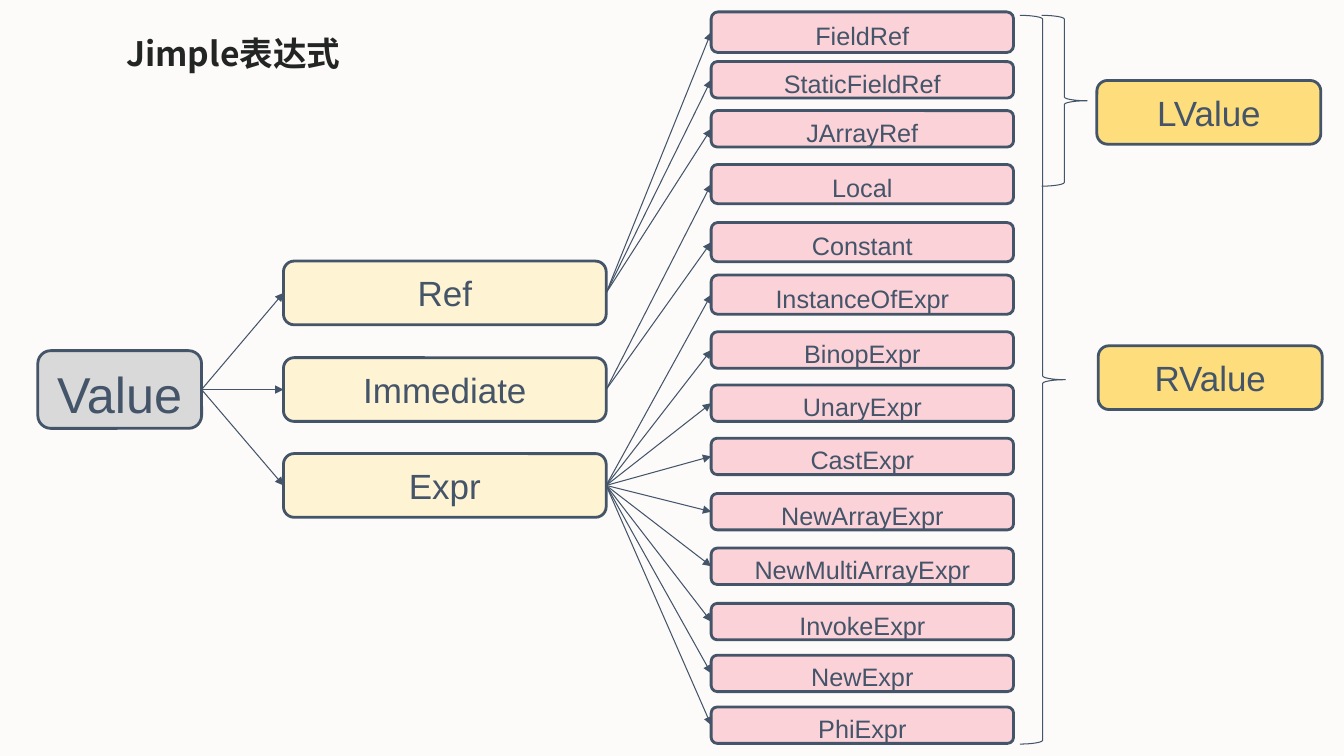
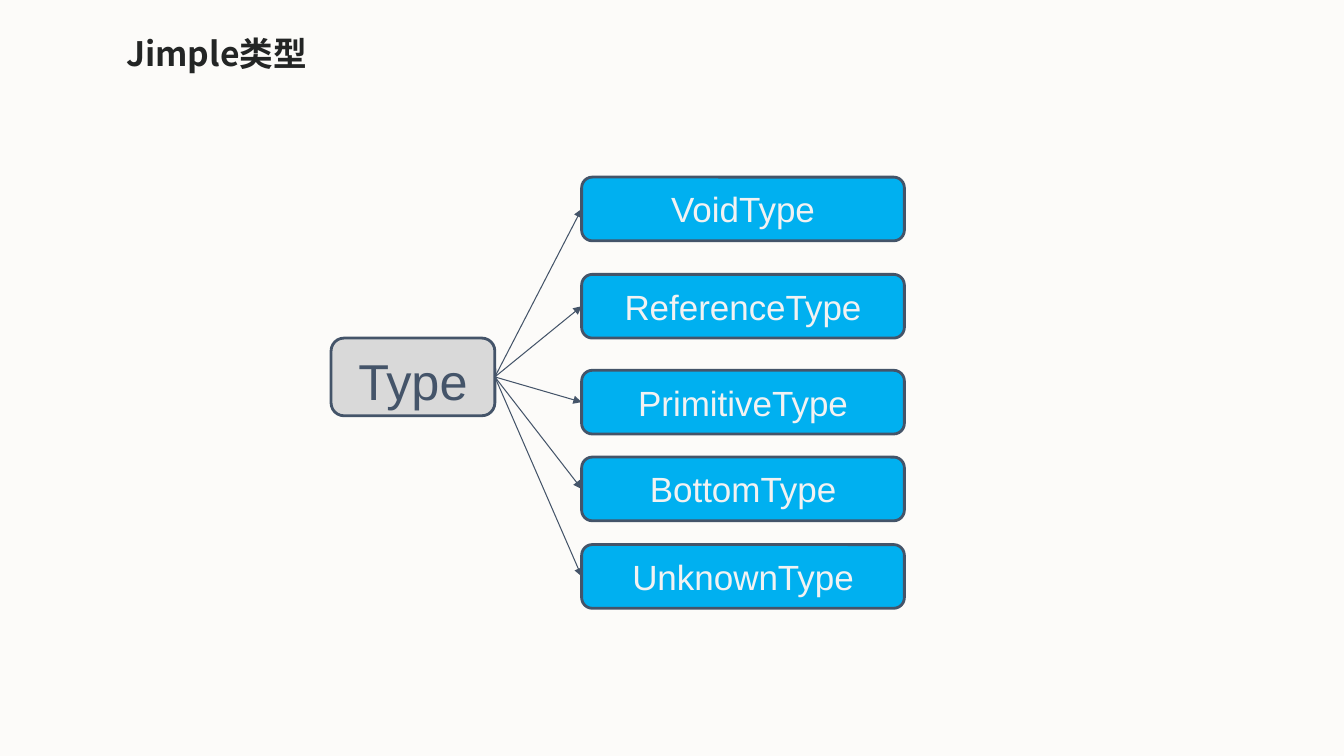
"""Build two slides that show the Jimple expression and type hierarchies."""
import pptx
import pptx.dml.color
import pptx.enum.shapes
import pptx.enum.text
import pptx.oxml
import pptx.oxml.ns
import pptx.util

Pt = pptx.util.Pt
RGB = pptx.dml.color.RGBColor.from_string
SHAPES = pptx.enum.shapes.MSO_SHAPE
ANCHOR = pptx.enum.text.MSO_ANCHOR
ALIGN = pptx.enum.text.PP_ALIGN

COLOURS = {
    "background": "FCFBF9",
    "title": "232525",
    "ink": "445469",
    "root": "D9D9D9",
    "branch": "FEF4D3",
    "leaf": "FAD2D8",
    "value": "FDDD7C",
    "type": "00B0F0",
    "light": "F2F2F2",
}
TITLE_FONT = "Noto Sans CJK SC"
TITLE_BOX = {"left": Pt(83), "top": Pt(20), "width": Pt(178), "height": Pt(36)}
STYLES = {
    "root": {"width": 117, "size": 36, "ink": "ink", "margins": (5, 0)},
    "branch": {"width": 230.5, "size": 25, "ink": "ink", "margins": (3.6, 3.6)},
    "leaf": {"width": 216, "size": 18, "ink": "ink", "margins": (5, 0)},
    "value": {"width": 160, "size": 25, "ink": "ink", "margins": (3.6, 3.6)},
    "type": {"width": 230.5, "size": 25, "ink": "light", "margins": (3.6, 3.6)},
}


def add_node(slide, text, style_name, left, top, height):
    style = STYLES[style_name]
    shape = slide.shapes.add_shape(
        SHAPES.ROUNDED_RECTANGLE, Pt(left), Pt(top), Pt(style["width"]), Pt(height)
    )
    shape.shadow.inherit = False
    shape.fill.solid()
    shape.fill.fore_color.rgb = RGB(COLOURS[style_name])
    shape.line.color.rgb = RGB(COLOURS["ink"])
    shape.line.width = Pt(2)
    frame = shape.text_frame
    margin_top, margin_bottom = style["margins"]
    frame_format = {
        "word_wrap": True,
        "vertical_anchor": ANCHOR.MIDDLE,
        "margin_top": Pt(margin_top),
        "margin_bottom": Pt(margin_bottom),
    }
    for name, value in frame_format.items():
        setattr(frame, name, value)
    paragraph = frame.paragraphs[0]
    paragraph.alignment = ALIGN.CENTER
    run = paragraph.add_run()
    run.text = text
    for name, value in {"name": "Arial", "size": Pt(style["size"])}.items():
        setattr(run.font, name, value)
    run.font.color.rgb = RGB(COLOURS[style["ink"]])
    return shape


def add_arrow(slide, parent, child):
    arrow = slide.shapes.add_connector(
        pptx.enum.shapes.MSO_CONNECTOR.STRAIGHT, 0, 0, 0, 0
    )
    arrow.begin_connect(parent, 3)
    arrow.end_connect(child, 1)
    arrow.line.color.rgb = RGB(COLOURS["ink"])
    arrow.line.width = Pt(0.75)
    namespace = pptx.oxml.ns.nsdecls("a")
    arrow.line._get_or_add_ln().append(
        pptx.oxml.parse_xml(f'<a:tailEnd {namespace} type="triangle"/>')
    )
    arrow._element.spPr.append(pptx.oxml.parse_xml(f"<a:effectLst {namespace}/>"))


presentation = pptx.Presentation()
presentation.slide_width = Pt(960)
presentation.slide_height = Pt(540)
background = presentation.slide_master.background.fill
background.solid()
background.fore_color.rgb = RGB(COLOURS["background"])

layout = presentation.slide_layouts[5]
for name, value in TITLE_BOX.items():
    setattr(layout.placeholders[0], name, value)

slides = []
for title in ("Jimple表达式", "Jimple类型"):
    slide = presentation.slides.add_slide(layout)
    frame = slide.shapes.title.text_frame
    frame.vertical_anchor = ANCHOR.TOP
    frame.auto_size = pptx.enum.text.MSO_AUTO_SIZE.NONE
    paragraph = frame.paragraphs[0]
    paragraph.alignment = ALIGN.LEFT
    run = paragraph.add_run()
    run.text = title
    for name, value in {"name": TITLE_FONT, "size": Pt(24), "bold": True}.items():
        setattr(run.font, name, value)
    run.font.color.rgb = RGB(COLOURS["title"])
    east_asian = pptx.oxml.parse_xml(
        f'<a:ea {pptx.oxml.ns.nsdecls("a")} typeface="{TITLE_FONT}"/>'
    )
    run.font._element.append(east_asian)
    slides.append(slide)
expression_slide, type_slide = slides

branches = [
    ("Ref", 186.5, [
        ("FieldRef", 8.5, 29),
        ("StaticFieldRef", 44, 26),
        ("JArrayRef", 79, 26),
    ]),
    ("Immediate", 255.5, [
        ("Local", 117.5, 28),
        ("Constant", 159, 28),
    ]),
    ("Expr", 324, [
        ("InstanceOfExpr", 196.5, 28),
        ("BinopExpr", 237, 26),
        ("UnaryExpr", 275, 26),
        ("CastExpr", 313, 26),
        ("NewArrayExpr", 352.5, 26),
        ("NewMultiArrayExpr", 391.5, 26),
        ("InvokeExpr", 431, 26),
        ("NewExpr", 468, 26),
        ("PhiExpr", 505, 26),
    ]),
]
value_root = add_node(expression_slide, "Value", "root", 27, 250.5, 55.5)
for branch_text, branch_top, leaves in branches:
    branch = add_node(expression_slide, branch_text, "branch", 202.5, branch_top, 45.5)
    add_arrow(expression_slide, value_root, branch)
    for leaf_text, leaf_top, leaf_height in leaves:
        leaf = add_node(expression_slide, leaf_text, "leaf", 508, leaf_top, leaf_height)
        add_arrow(expression_slide, branch, leaf)

groups = [("LValue", 783.5, 57.5, 744, 122), ("RValue", 784.5, 247, 728.5, 520.5)]
for text, left, top, brace_left, brace_height in groups:
    add_node(expression_slide, text, "value", left, top, 45.5)
    brace = expression_slide.shapes.add_shape(
        SHAPES.RIGHT_BRACE, Pt(brace_left), Pt(11), Pt(32.5), Pt(brace_height)
    )
    brace.shadow.inherit = False
    brace.fill.background()
    brace.line.color.rgb = RGB(COLOURS["ink"])
    brace.line.width = Pt(0.75)

type_root = add_node(type_slide, "Type", "root", 236.5, 241.5, 55.5)
types = {
    "VoidType": 126.5,
    "ReferenceType": 196,
    "PrimitiveType": 264.5,
    "BottomType": 326.5,
    "UnknownType": 389,
}
for text, top in types.items():
    type_node = add_node(type_slide, text, "type", 415.5, top, 45.5)
    add_arrow(type_slide, type_root, type_node)

presentation.save("out.pptx")
